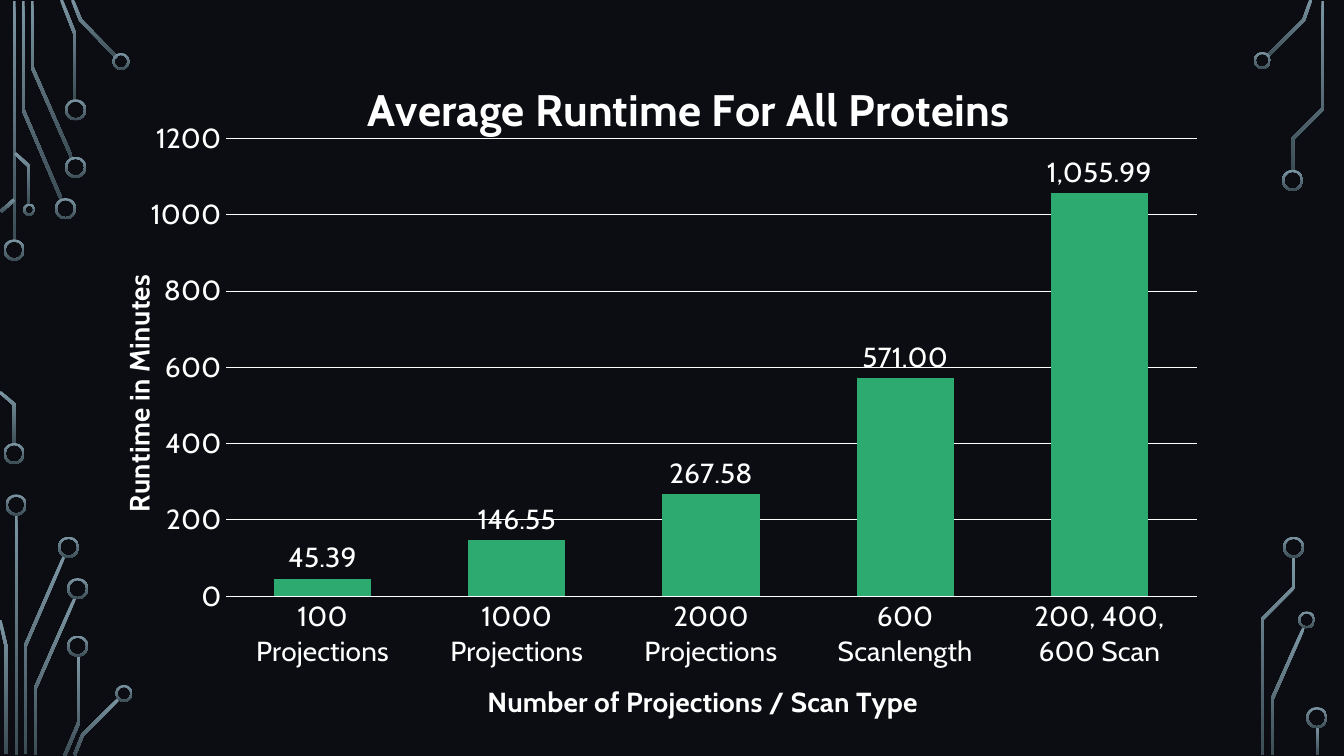
from math import hypot
from pptx import Presentation
from pptx.chart.data import CategoryChartData
from pptx.dml.color import RGBColor
from pptx.enum.chart import XL_CHART_TYPE, XL_LABEL_POSITION, XL_TICK_MARK
from pptx.enum.shapes import MSO_SHAPE
from pptx.oxml import parse_xml
from pptx.oxml.ns import nsdecls
from pptx.util import Inches, Pt

NIGHT = RGBColor(0x0B, 0x0D, 0x12)
STEEL = RGBColor(0x7C, 0x96, 0xA3)
SLATE = RGBColor(0x3B, 0x4C, 0x54)
GREEN = RGBColor(0x2D, 0xAA, 0x6F)
WHITE = RGBColor(0xFF, 0xFF, 0xFF)
FONT = "Cabin"
WIDE = 0.03
RIM = 0.02

TRACES = [
    [(0.14, 0.01), (0.14, 2.4)],
    [(0.23, 0.01), (0.23, 1.09), (0.61, 1.98)],
    [(0.32, 0.01), (0.32, 0.67), (0.71, 1.56)],
    [(0.61, 0), (0.74, 0.33), (0.74, 1)],
    [(0.72, 0), (0.8, 0.2), (1.16, 0.57)],
    [(0.01, 2.1), (0.14, 1.98)],
    [(0, 3.89), (0.14, 4.01), (0.14, 4.41)],
    [(0.15, 1.52), (0.29, 1.65), (0.29, 2.03)],
    [(0.16, 5.1), (0.16, 7.49)],
    [(0.64, 5.51), (0.25, 6.41), (0.25, 7.48)],
    [(0, 6.15), (0.06, 6.41), (0.06, 7.48)],
    [(0.74, 5.94), (0.35, 6.83), (0.35, 7.49)],
    [(0.78, 6.5), (0.78, 7.17), (0.64, 7.5)],
    [(1.18, 6.93), (0.82, 7.29), (0.74, 7.49)],
    [(13, 0), (12.93, 0.2), (12.57, 0.56)],
    [(13.12, 0.01), (13.12, 1.08), (12.82, 1.38), (12.82, 1.69)],
    [(12.93, 6.23), (12.62, 6.93), (12.62, 7.49)],
    [(12.83, 5.52), (12.83, 5.83), (12.52, 6.14), (12.52, 7.49)],
    [(13.07, 7.21), (13.07, 7.49)],
]
RINGS = {
    0.21: [(0.14, 2.48), (0.14, 4.5), (0.65, 2.07), (0.75, 1.66), (0.75, 1.09),
           (0.16, 5.01), (0.68, 5.43), (0.77, 5.84), (0.77, 6.41),
           (12.82, 1.79), (12.83, 5.43), (13.06, 7.12)],
    0.17: [(1.2, 0.61), (1.23, 6.88), (12.52, 0.6), (12.96, 6.15)],
    0.12: [(0.29, 2.08)],
}


def paint(shape):
    shape.shadow.inherit = False
    shape.line.fill.background()
    shape.fill.gradient()
    shape.fill.gradient_angle = 270
    for stop, (spot, tone) in zip(shape.fill.gradient_stops, [(0, STEEL), (1, SLATE)]):
        stop.position = spot
        stop.color.rgb = tone


def place(node, index, extra="", **spots):
    for old in node.xpath("./c:layout"):
        node.remove(old)
    modes = "".join(f'<c:{key}Mode val="edge"/>' for key in "xy")
    sizes = "".join(f'<c:{key} val="{val}"/>' for key, val in spots.items())
    node.insert(index, parse_xml(
        f'<c:layout {nsdecls("c")}><c:manualLayout>{extra}{modes}{sizes}'
        "</c:manualLayout></c:layout>"))


deck = Presentation()
deck.slide_width = Inches(13.33)
deck.slide_height = Inches(7.5)
slide = deck.slides.add_slide(deck.slide_layouts[6])
slide.background.fill.solid()
slide.background.fill.fore_color.rgb = NIGHT

for trace in TRACES:
    norms = []
    for (ax, ay), (bx, by) in zip(trace, trace[1:]):
        size = hypot(bx - ax, by - ay)
        norms.append(((ay - by) / size, (bx - ax) / size))
    left, right = [], []
    for (x, y), (px, py), (qx, qy) in zip(trace, norms[:1] + norms, norms + norms[-1:]):
        reach = WIDE / 2 / (1 + px * qx + py * qy)
        dx, dy = reach * (px + qx), reach * (py + qy)
        left.append((Inches(x + dx), Inches(y + dy)))
        right.append((Inches(x - dx), Inches(y - dy)))
    edge = left + right[::-1]
    pen = slide.shapes.build_freeform(*edge[0])
    pen.add_line_segments(edge[1:], close=True)
    paint(pen.convert_to_shape())

for size, spots in RINGS.items():
    for x, y in spots:
        ring = slide.shapes.add_shape(
            MSO_SHAPE.DONUT, Inches(x - size / 2), Inches(y - size / 2), Inches(size), Inches(size))
        ring.adjustments[0] = RIM / size
        paint(ring)

data = CategoryChartData()
data.categories = ["100 Projections", "1000 Projections", "2000 Projections",
                   "600 Scanlength", "200, 400, 600 Scan"]
data.add_series("Series 1", [45.39, 146.55, 267.58, 571, 1055.99])
chart = slide.shapes.add_chart(
    XL_CHART_TYPE.COLUMN_CLUSTERED, Inches(1.13), Inches(0.44), Inches(11.07), Inches(6.78), data).chart
chart.has_legend = False
chart.font.name = FONT
chart.font.size = Pt(20)
chart.font.color.rgb = WHITE
plot = chart.plots[0]
plot.gap_width = 100
plot.vary_by_categories = False
bars = plot.series[0]
bars.format.fill.solid()
bars.format.fill.fore_color.rgb = GREEN
plot.has_data_labels = True
tags = plot.data_labels
tags.show_value = True
tags.number_format = "#,##0.00"
tags.number_format_is_linked = False
tags.position = XL_LABEL_POSITION.OUTSIDE_END
tags.font.name = FONT
tags.font.size = Pt(20)
tags.font.color.rgb = WHITE

base, scale = chart.category_axis, chart.value_axis
for axis in (base, scale):
    axis.major_tick_mark = axis.minor_tick_mark = XL_TICK_MARK.NONE
    axis.format.line.fill.background()
scale.minimum_scale = 0
scale.maximum_scale = 1200
scale.major_unit = 200
grid = scale.major_gridlines.format.line
grid.width = Pt(0.75)
grid.color.rgb = WHITE

for title, text, size, x, y in [
    (chart.chart_title, "Average Runtime For All Proteins", 32, 0.22, 0.04),
    (base.axis_title, "Number of Projections / Scan Type", 20, 0.33, 0.94),
    (scale.axis_title, "Runtime in Minutes", 20, 0, 0.34),
]:
    frame = title.text_frame
    frame.text = text
    font = frame.paragraphs[0].font
    font.name = FONT
    font.size = Pt(size)
    font.bold = True
    font.color.rgb = WHITE
    place(frame.paragraphs[0]._p.xpath("ancestor::c:title")[0], 1, x=x, y=y)
body = scale.axis_title.text_frame.paragraphs[0]._p.xpath("../a:bodyPr")[0]
body.set("rot", "-5400000")
body.set("vert", "horz")
area = chart._chartSpace.xpath(".//c:plotArea")[0]
place(area, 0, '<c:layoutTarget val="inner"/>', x=0.1, y=0.14, w=0.87, h=0.68)

deck.save("out.pptx")
